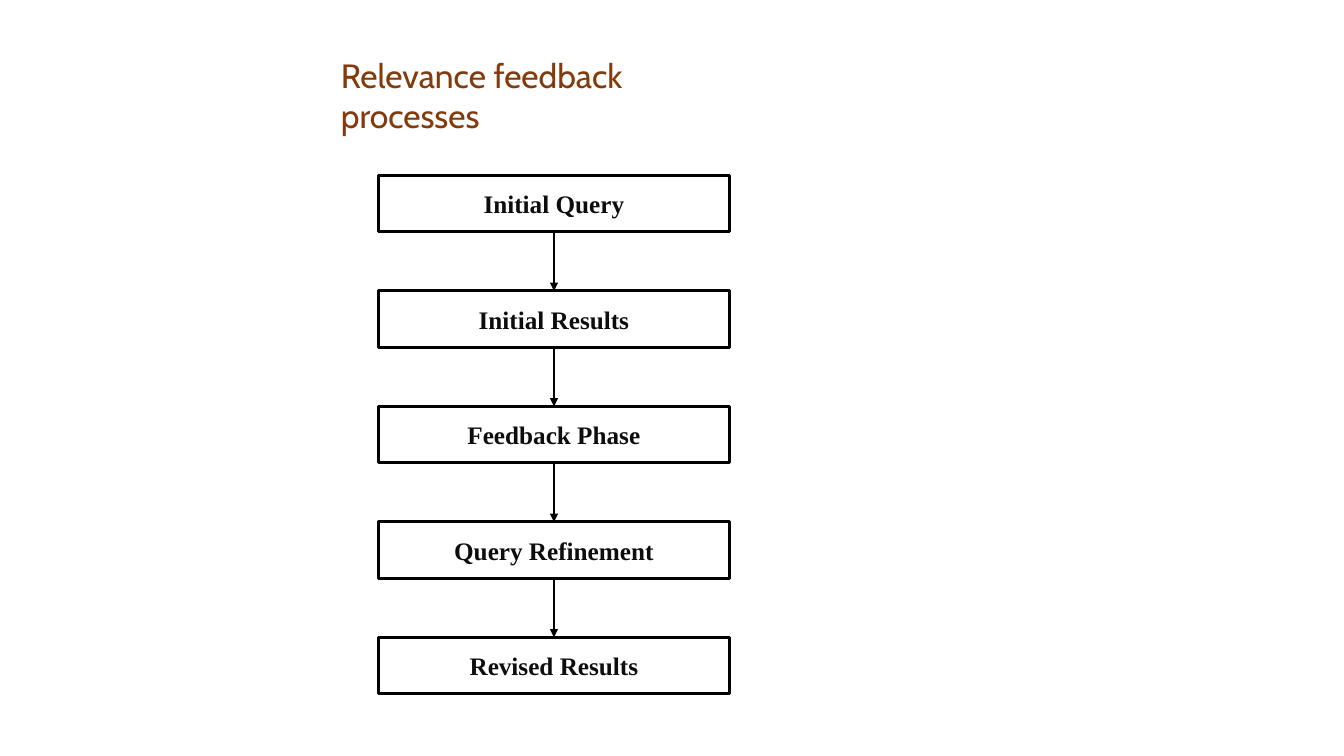
from lxml import etree
from pptx import Presentation
from pptx.dml.color import RGBColor
from pptx.enum import shapes, text
from pptx.oxml.ns import qn
from pptx.util import Cm, Pt

TITLE = "Relevance feedback processes"
STEPS = ["Initial Query", "Initial Results", "Feedback Phase",
         "Query Refinement", "Revised Results"]

BLACK, INK, BROWN = "000000", "0D0D0D", "843B0C"
BOX_LEFT, BOX_TOP, BOX_WIDTH, BOX_HEIGHT = 9.53, 4.42, 8.86, 1.42
BOX_PITCH = 2.91


def color(hex_code):
    return RGBColor.from_string(hex_code)


def write(shape, words, font_name, size, hex_code, bold=False):
    frame = shape.text_frame
    frame.word_wrap = True
    frame.margin_left = frame.margin_right = 0
    frame.margin_top = frame.margin_bottom = 0
    frame.text = words
    font = frame.paragraphs[0].runs[0].font
    font.name, font.size, font.bold = font_name, Pt(size), bold
    font.color.rgb = color(hex_code)
    return frame


def add_title(slide):
    box = slide.shapes.add_textbox(Cm(8.59), Cm(1.38), Cm(10.2), Cm(2.1))
    write(box, TITLE, "Cabin", 24, BROWN)


def add_step(slide, index, label):
    box = slide.shapes.add_shape(
        shapes.MSO_SHAPE.RECTANGLE, Cm(BOX_LEFT),
        Cm(BOX_TOP + index * BOX_PITCH), Cm(BOX_WIDTH), Cm(BOX_HEIGHT))
    box.shadow.inherit = False
    box.fill.background()
    box.line.color.rgb = color(BLACK)
    box.line.width = Pt(2.28)
    frame = write(box, label, "Times New Roman", 18, INK, bold=True)
    frame.vertical_anchor = text.MSO_ANCHOR.MIDDLE
    frame.paragraphs[0].alignment = text.PP_ALIGN.CENTER
    return box


def add_arrow(slide, upper, lower):
    arrow = slide.shapes.add_connector(shapes.MSO_CONNECTOR.STRAIGHT, 0, 0, 0, 0)
    arrow.begin_connect(upper, 2)
    arrow.end_connect(lower, 0)
    arrow.line.color.rgb = color(BLACK)
    arrow.line.width = Pt(1.6)
    etree.SubElement(arrow.line._get_or_add_ln(), qn("a:tailEnd"), type="triangle")
    etree.SubElement(arrow._element.spPr, qn("a:effectLst"))


def main():
    presentation = Presentation()
    presentation.slide_width, presentation.slide_height = Cm(33.87), Cm(19.05)
    slide = presentation.slides.add_slide(presentation.slide_layouts[6])

    add_title(slide)
    boxes = [add_step(slide, index, label) for index, label in enumerate(STEPS)]
    for upper, lower in zip(boxes, boxes[1:]):
        add_arrow(slide, upper, lower)

    presentation.save("out.pptx")


if __name__ == "__main__":
    main()
